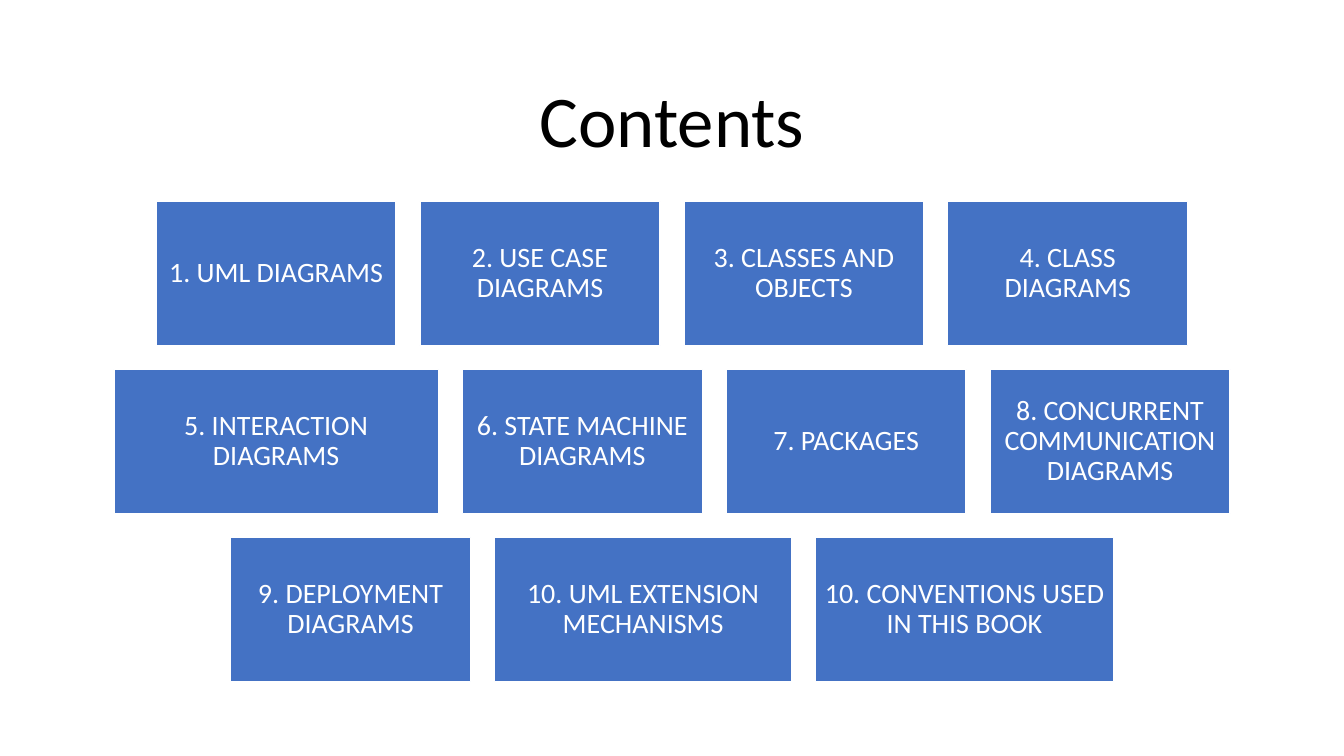
from pptx import Presentation
from pptx.dml.color import RGBColor
from pptx.enum.shapes import MSO_SHAPE as Shape
from pptx.enum.text import MSO_ANCHOR as Anchor, PP_ALIGN as Align
from pptx.util import Cm, Pt

SLIDE_WIDTH, SLIDE_HEIGHT = 33.87, 19.05
TOP, HEIGHT, GAP = 5.08, 3.63, 0.6
NARROW, MEDIUM, WIDE = 6.05, 7.5, 8.18

CHAPTER_ROWS = [
    [("1. UML DIAGRAMS", NARROW),
     ("2. USE CASE DIAGRAMS", NARROW),
     ("3. CLASSES AND OBJECTS", NARROW),
     ("4. CLASS DIAGRAMS", NARROW)],
    [("5. INTERACTION DIAGRAMS", WIDE),
     ("6. STATE MACHINE DIAGRAMS", NARROW),
     ("7. PACKAGES", NARROW),
     ("8. CONCURRENT COMMUNICATION DIAGRAMS", NARROW)],
    [("9. DEPLOYMENT DIAGRAMS", NARROW),
     ("10. UML EXTENSION MECHANISMS", MEDIUM),
     ("10. CONVENTIONS USED IN THIS BOOK", MEDIUM)],
]


def rgb(color):
    return RGBColor.from_string(color)


def write(frame, text, size, color):
    """Fill a text frame with one centred paragraph."""
    frame.text = text
    frame.word_wrap = True
    frame.vertical_anchor = Anchor.MIDDLE
    paragraph = frame.paragraphs[0]
    paragraph.alignment = Align.CENTER
    paragraph.line_spacing = 0.9
    font = paragraph.runs[0].font
    font.name = "Calibri"
    font.size = Pt(size)
    font.color.rgb = rgb(color)


def set_title(slide, text):
    title = slide.shapes.title
    title.left, title.top = Cm(2.33), Cm(1.55)
    title.width, title.height = Cm(29.21), Cm(3.15)
    write(title.text_frame, text, 52, "000000")


def add_chapter(slide, text, left, top, width):
    chapter = slide.shapes.add_shape(
        Shape.RECTANGLE, Cm(left), Cm(top), Cm(width), Cm(HEIGHT))
    chapter.shadow.inherit = False
    chapter.fill.solid()
    chapter.fill.fore_color.rgb = rgb("4472C4")
    chapter.line.color.rgb = rgb("FFFFFF")
    chapter.line.width = Pt(1)
    frame = chapter.text_frame
    frame.margin_left = frame.margin_right = Cm(0.2)
    frame.margin_top = frame.margin_bottom = Cm(0.2)
    write(frame, text, 20, "FFFFFF")


def add_chapter_row(slide, chapters, top):
    """Place one row of chapters, centred on the slide."""
    row_width = sum(width for _, width in chapters) + GAP * (len(chapters) - 1)
    left = (SLIDE_WIDTH - row_width) / 2
    for text, width in chapters:
        add_chapter(slide, text, left, top, width)
        left += width + GAP


def main():
    deck = Presentation()
    deck.slide_width, deck.slide_height = Cm(SLIDE_WIDTH), Cm(SLIDE_HEIGHT)
    slide = deck.slides.add_slide(deck.slide_layouts.get_by_name("Title Only"))
    set_title(slide, "Contents")
    for index, chapters in enumerate(CHAPTER_ROWS):
        add_chapter_row(slide, chapters, TOP + index * (HEIGHT + GAP))
    deck.save("out.pptx")


if __name__ == "__main__":
    main()
